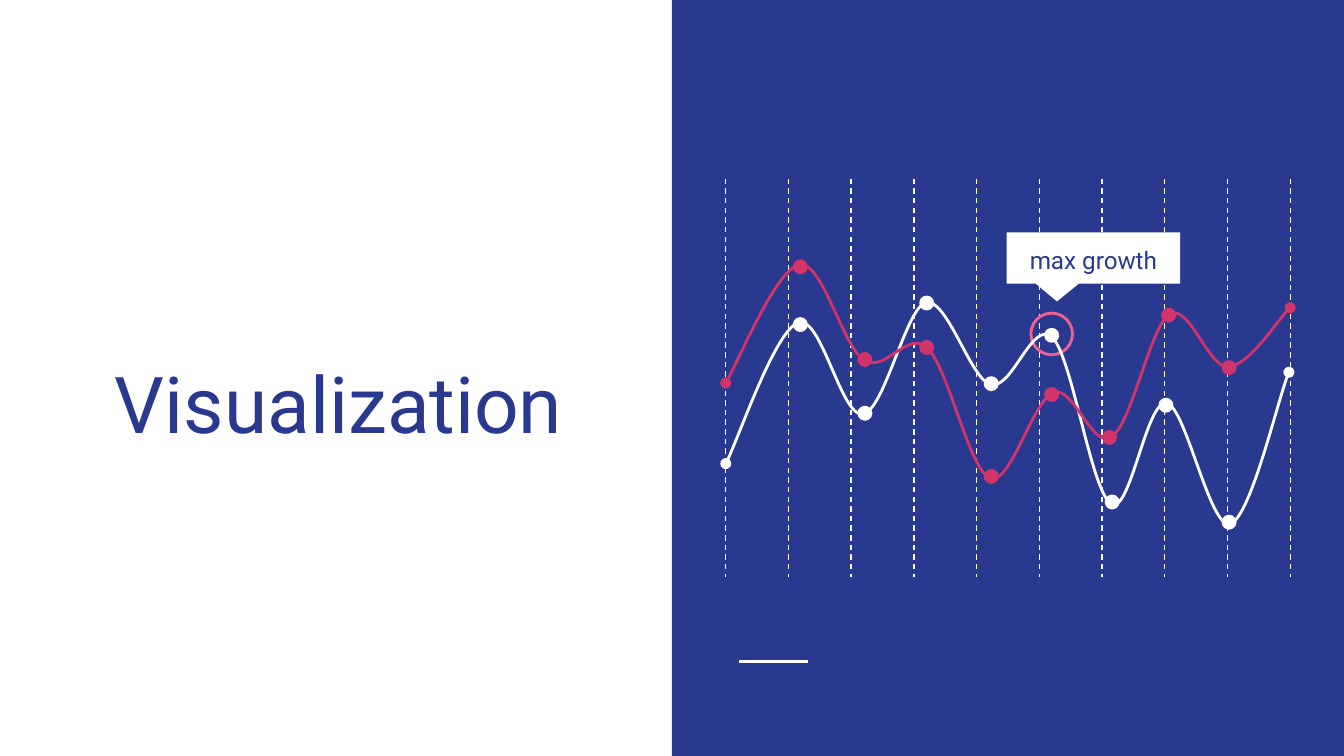
from lxml import etree
from pptx import Presentation
from pptx.dml.color import RGBColor
from pptx.enum.dml import MSO_LINE
from pptx.enum.shapes import MSO_CONNECTOR, MSO_SHAPE as SHAPE
from pptx.enum.text import MSO_ANCHOR as ANCHOR, PP_ALIGN
from pptx.oxml.ns import qn
from pptx.util import Inches, Pt

COLORS = {"white": "FFFFFF", "navy": "2A3990", "red": "D23369", "pink": "F06292"}
SLIDE_W = 10
SLIDE_H = SLIDE_W * 9 / 16
DOT = 0.09

# Curves: start point, then two control points and an end point per segment
WHITE_CURVE = [
    (5.4, 3.45),
    (5.49, 3.28), (5.77, 2.46), (5.94, 2.4),
    (6.11, 2.34), (6.26, 3.11), (6.42, 3.08),
    (6.58, 3.06), (6.74, 2.29), (6.89, 2.25),
    (7.05, 2.22), (7.22, 2.82), (7.37, 2.86),
    (7.53, 2.91), (7.68, 2.37), (7.83, 2.51),
    (7.98, 2.66), (8.12, 3.67), (8.27, 3.75),
    (8.41, 3.83), (8.53, 2.97), (8.68, 3),
    (8.82, 3.02), (9, 3.93), (9.15, 3.9),
    (9.3, 3.86), (9.51, 2.96), (9.59, 2.77),
]
RED_CURVE = [
    (5.4, 2.85),
    (5.49, 2.7), (5.78, 2), (5.95, 1.97),
    (6.12, 1.94), (6.27, 2.58), (6.43, 2.68),
    (6.59, 2.78), (6.75, 2.45), (6.9, 2.59),
    (7.06, 2.74), (7.21, 3.5), (7.37, 3.56),
    (7.52, 3.61), (7.69, 2.97), (7.84, 2.92),
    (7.99, 2.87), (8.13, 3.35), (8.27, 3.25),
    (8.42, 3.16), (8.56, 2.43), (8.7, 2.34),
    (8.85, 2.25), (8.99, 2.74), (9.14, 2.73),
    (9.29, 2.72), (9.52, 2.36), (9.6, 2.29),
]
# Left and top of each marker
WHITE_DOTS = [(5.91, 2.37), (6.39, 3.03), (6.85, 2.21), (7.33, 2.81),
              (7.78, 2.45), (8.23, 3.69), (8.63, 2.97), (9.1, 3.84)]
RED_DOTS = [(5.91, 1.94), (6.39, 2.63), (6.85, 2.54), (7.33, 3.5),
            (7.78, 2.89), (8.21, 3.21), (8.65, 2.3), (9.1, 2.69)]


def rgb(name):
    return RGBColor.from_string(COLORS[name])


def write(tf, text, size=13, color="navy", font="Roboto", spacing=None):
    p = tf.paragraphs[0]
    p.alignment = PP_ALIGN.CENTER
    if spacing:
        p.line_spacing = spacing
    r = p.add_run()
    r.text = text
    r.font.name, r.font.size = font, Pt(size)
    r.font.color.rgb = rgb(color)


class Painter:
    def __init__(self, slide, line_width=1.5):
        self.shapes = slide.shapes
        self.line_width = line_width

    def style(self, sp, fill=None, line=None):
        sp.shadow.inherit = False
        if fill:
            sp.fill.solid()
            sp.fill.fore_color.rgb = rgb(fill)
        else:
            sp.fill.background()
        if line:
            sp.line.color.rgb = rgb(line)
            sp.line.width = Pt(self.line_width)
        else:
            sp.line.fill.background()

    def shape(self, kind, x, y, w, h, fill=None, line=None):
        sp = self.shapes.add_shape(kind, Inches(x), Inches(y), Inches(w), Inches(h))
        self.style(sp, fill, line)
        return sp

    def line(self, x1, y1, x2, y2, color="white", width=None, dash=None):
        cxn = self.shapes.add_connector(
            MSO_CONNECTOR.STRAIGHT, Inches(x1), Inches(y1), Inches(x2), Inches(y2))
        cxn.line.color.rgb = rgb(color)
        cxn.line.width = Pt(width or self.line_width)
        if dash:
            cxn.line.dash_style = dash
        etree.SubElement(cxn._element.spPr, qn("a:effectLst"))

    def text(self, text, x, y, w, h, anchor, **fmt):
        tf = self.shapes.add_textbox(Inches(x), Inches(y), Inches(w), Inches(h)).text_frame
        tf.word_wrap = True
        tf.vertical_anchor = anchor
        tf.margin_left = tf.margin_right = tf.margin_top = tf.margin_bottom = Inches(0.1)
        write(tf, text, **fmt)

    def curve(self, points, color):
        start, *rest = [(Inches(x), Inches(y)) for x, y in points]
        builder = self.shapes.build_freeform(*start)
        builder.add_line_segments(rest, close=False)
        sp = builder.convert_to_shape()
        self.style(sp, line=color)
        # Merge every three straight segments into one cubic Bézier
        segments = list(sp._element.iter(qn("a:lnTo")))
        for i in range(0, len(segments), 3):
            bezier = etree.Element(qn("a:cubicBezTo"))
            segments[i].addprevious(bezier)
            for segment in segments[i:i + 3]:
                bezier.append(segment[0])
                segment.getparent().remove(segment)
        # Round ends
        ln = sp._element.spPr.find(qn("a:ln"))
        for end in ("a:headEnd", "a:tailEnd"):
            etree.SubElement(ln, qn(end), type="oval", w="med", len="med")

    def series(self, points, dots, color):
        self.curve(points, color)
        for x, y in dots:
            self.shape(SHAPE.OVAL, x, y, DOT, DOT, fill=color, line=color)


def main():
    prs = Presentation()
    prs.slide_width, prs.slide_height = Inches(SLIDE_W), Inches(SLIDE_H)
    s = Painter(prs.slides.add_slide(prs.slide_layouts[6]))

    # Right panel with accent line
    s.shape(SHAPE.RECTANGLE, SLIDE_W / 2, 0, SLIDE_W / 2, SLIDE_H, fill="navy")
    s.line(5.5, 4.92, 6.01, 4.92)

    # Dashed grid
    for i in range(10):
        x = 5.4 + i * 4.2 / 9
        s.line(x, 1.33, x, 4.29, width=0.75, dash=MSO_LINE.DASH)

    # Highlight ring and title
    s.shape(SHAPE.OVAL, 7.67, 2.33, 0.31, 0.31, line="pink")
    s.text("Visualization", 0.31, 1.73, 4.42, 1.71, ANCHOR.BOTTOM, size=42)

    # Both series, with the callout between them
    s.series(WHITE_CURVE, WHITE_DOTS, "white")
    callout = s.shape(SHAPE.ROUNDED_RECTANGULAR_CALLOUT, 7.49, 1.73, 1.29, 0.38, fill="white")
    for i, value in enumerate((-0.21, 0.85, 0)):
        callout.adjustments[i] = value
    s.series(RED_CURVE, RED_DOTS, "red")
    s.text("max growth", 7.49, 1.76, 1.29, 0.31, ANCHOR.MIDDLE, spacing=1.15)

    prs.save("out.pptx")


if __name__ == "__main__":
    main()
